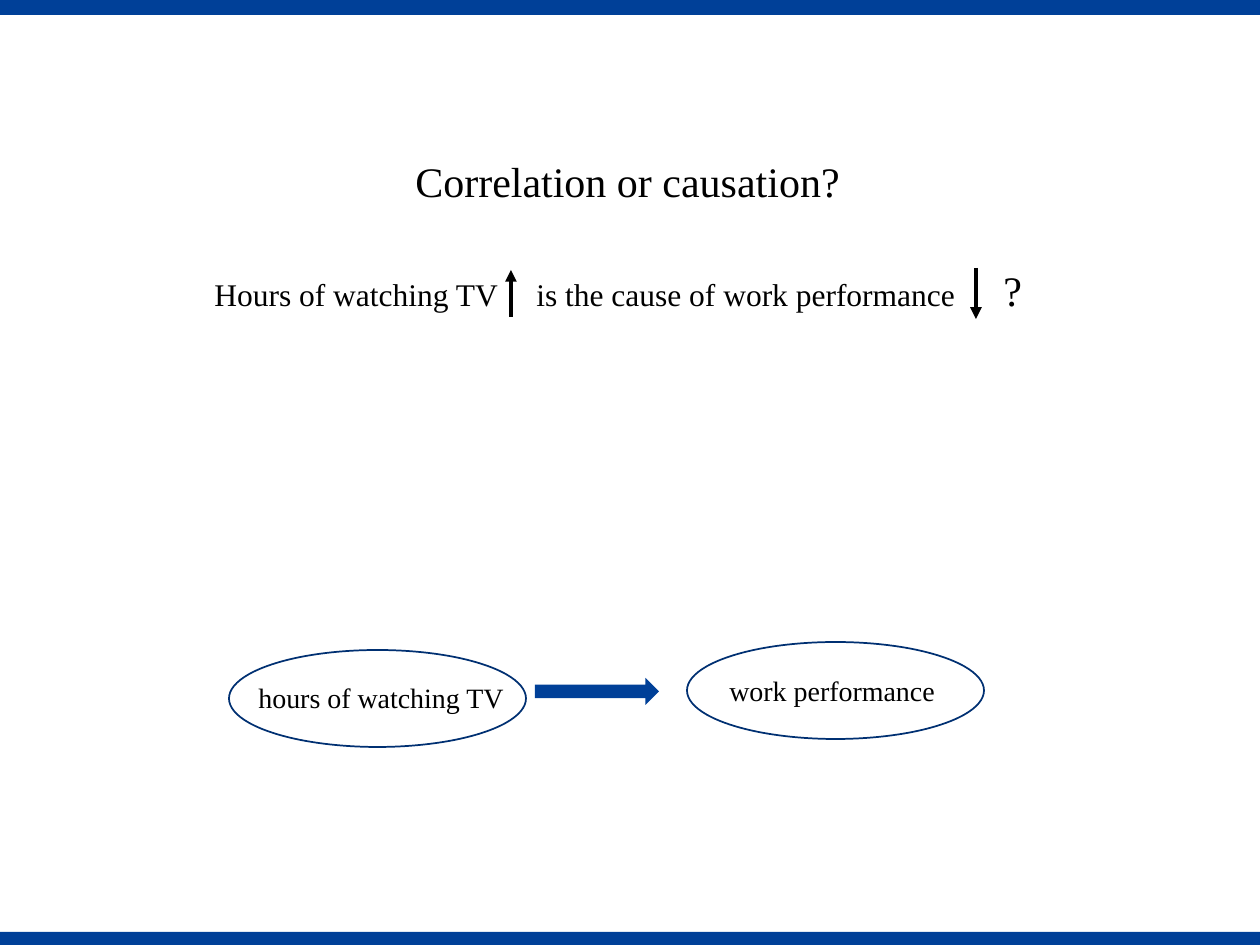
from typing import NamedTuple

from lxml.etree import SubElement
from pptx import Presentation
from pptx.dml.color import RGBColor
from pptx.enum.shapes import MSO_CONNECTOR, MSO_SHAPE
from pptx.enum.text import MSO_AUTO_SIZE
from pptx.oxml.ns import qn
from pptx.util import Emu, Pt

PX = 914400 // 126
WIDTH, HEIGHT = 1260, 945
FONT = "Times New Roman"
BLUE, NAVY, BLACK = "004098", "003072", "000000"


class Box(NamedTuple):
    x: int
    y: int
    w: int
    h: int


class Run(NamedTuple):
    text: str
    size: int


class Label(NamedTuple):
    box: Box
    runs: list[Run]
    tabs: tuple[int, ...] = ()


class Arrow(NamedTuple):
    x: int
    start: int
    end: int


BARS = [Box(0, 932, WIDTH, 13), Box(0, 0, WIDTH, 15)]
OVALS = [Box(229, 650, 297, 97), Box(687, 642, 297, 97)]
CAUSE = Box(535, 678, 124, 27)
LABELS = [
    Label(Box(246, 674, 281, 47), [Run("hours of watching TV", 16)]),
    Label(Box(717, 667, 238, 47), [Run("work performance", 16)]),
    Label(Box(403, 149, 454, 63), [Run("Correlation or causation?", 24)]),
    Label(
        Box(202, 258, 857, 63),
        [
            Run("Hours of watching TV\tis the cause of work performance\t", 18),
            Run("?", 24),
        ],
        tabs=(322, 789),
    ),
]
ARROWS = [Arrow(511, 317, 270), Arrow(976, 268, 319)]


def px(n: int) -> Emu:
    return Emu(n * PX)


def color(code: str) -> RGBColor:
    return RGBColor.from_string(code)


def draw_shape(slide, kind: MSO_SHAPE, box: Box, fill: str = "", line: str = "") -> None:
    shape = slide.shapes.add_shape(kind, *map(px, box))
    shape.shadow.inherit = False
    if fill:
        shape.fill.solid()
        shape.fill.fore_color.rgb = color(fill)
    else:
        shape.fill.background()
    if line:
        shape.line.color.rgb = color(line)
        shape.line.width = Pt(1)
    else:
        shape.line.fill.background()


def draw_label(slide, label: Label) -> None:
    """Text keeps to one line; tab stops hold the gaps for the arrows."""
    frame = slide.shapes.add_textbox(*map(px, label.box)).text_frame
    frame.word_wrap = bool(label.tabs)
    frame.auto_size = MSO_AUTO_SIZE.SHAPE_TO_FIT_TEXT
    para = frame.paragraphs[0]
    if label.tabs:
        stops = SubElement(para._p.get_or_add_pPr(), qn("a:tabLst"))
        for stop in label.tabs:
            SubElement(stops, qn("a:tab"), pos=str(px(stop)), algn="l")
    for item in label.runs:
        run = para.add_run()
        run.text = item.text
        run.font.name = FONT
        run.font.size = Pt(item.size)
        run.font.color.rgb = color(BLACK)


def draw_arrow(slide, arrow: Arrow) -> None:
    x = px(arrow.x)
    line = slide.shapes.add_connector(
        MSO_CONNECTOR.STRAIGHT, x, px(arrow.start), x, px(arrow.end)
    )
    line.line.color.rgb = color(BLACK)
    line.line.width = Pt(2.25)
    SubElement(line.line._get_or_add_ln(), qn("a:tailEnd"), type="triangle")
    SubElement(line._element.spPr, qn("a:effectLst"))


def main() -> None:
    deck = Presentation()
    deck.slide_width, deck.slide_height = px(WIDTH), px(HEIGHT)
    slide = deck.slides.add_slide(deck.slide_layouts[6])
    for bar in BARS:
        draw_shape(slide, MSO_SHAPE.RECTANGLE, bar, fill=BLUE)
    for oval in OVALS:
        draw_shape(slide, MSO_SHAPE.OVAL, oval, line=NAVY)
    draw_shape(slide, MSO_SHAPE.RIGHT_ARROW, CAUSE, fill=BLUE)
    for label in LABELS:
        draw_label(slide, label)
    for arrow in ARROWS:
        draw_arrow(slide, arrow)
    deck.save("out.pptx")


if __name__ == "__main__":
    main()
